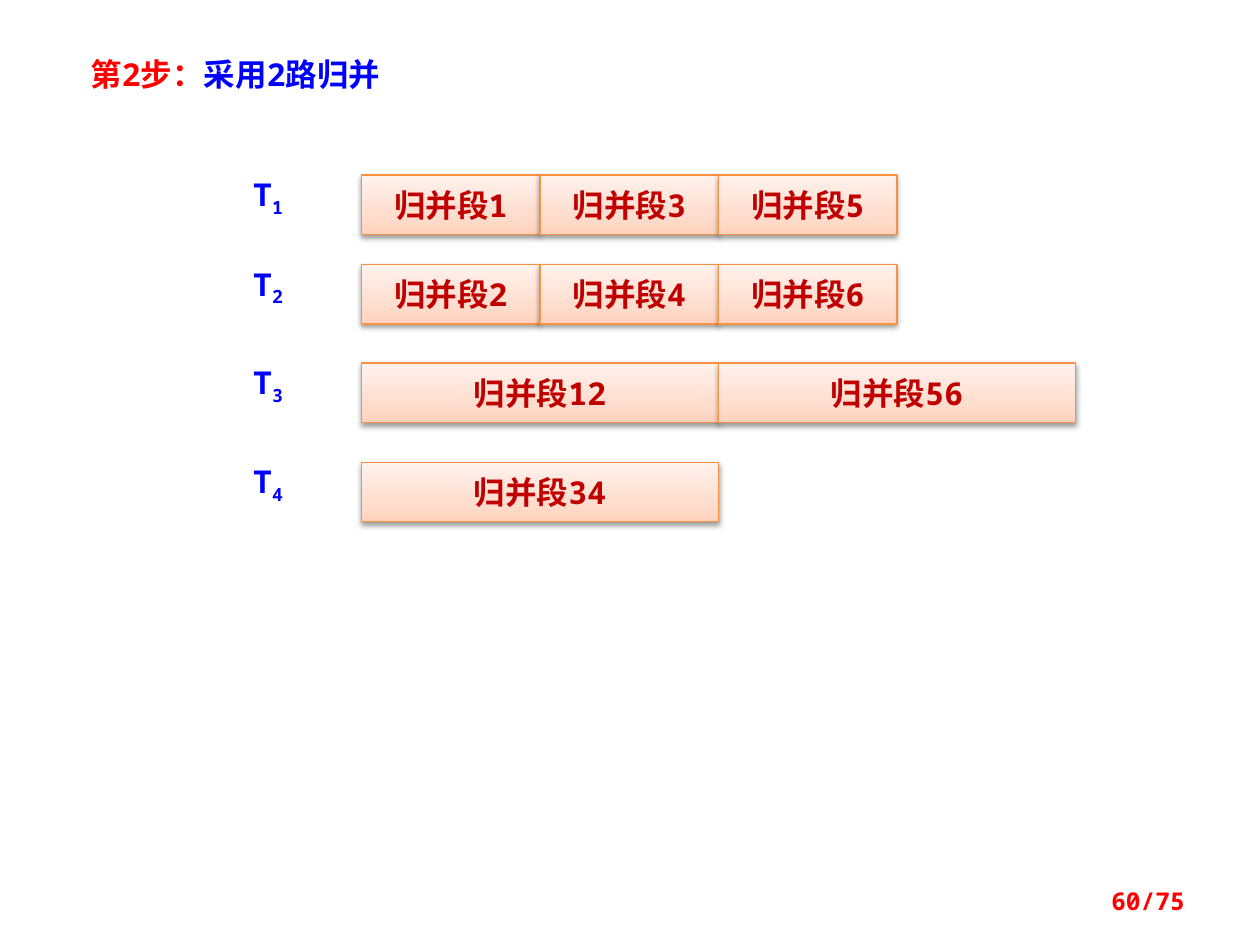
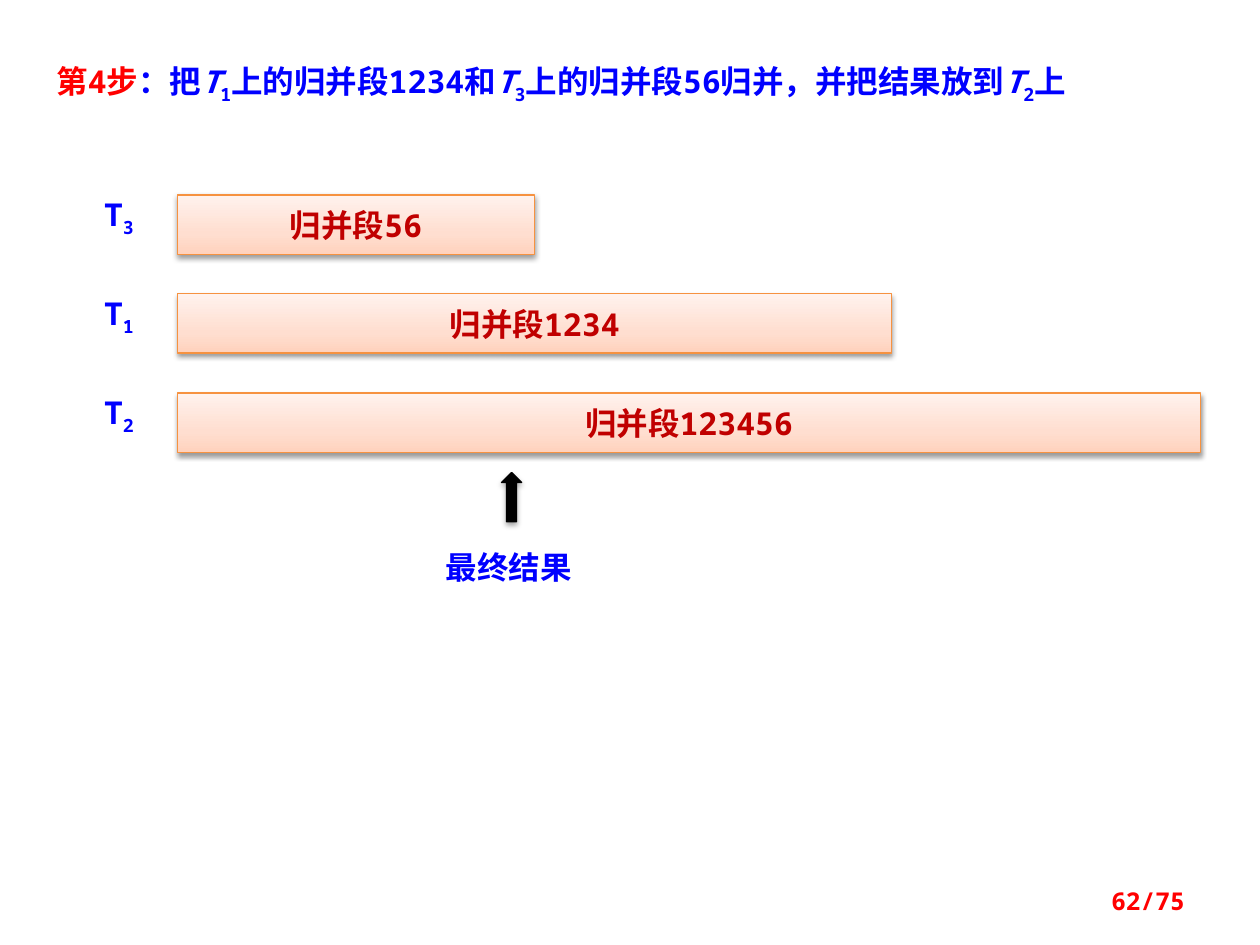
from copy import deepcopy
from lxml.etree import SubElement
from pptx import Presentation
from pptx.dml.color import RGBColor
from pptx.enum.shapes import MSO_SHAPE as Preset
from pptx.enum.text import MSO_ANCHOR as Anchor, PP_ALIGN as Align
from pptx.oxml import parse_xml
from pptx.oxml.ns import nsdecls, qn
from pptx.util import Pt

MONO, HAN = "Noto Sans Mono", "Noto Sans CJK SC"
RED, BLUE, DARK_RED, ORANGE, BLACK = "FF0000", "0000FF", "C00000", "F69240", "000000"
GRADIENT = [(0, "FFD2BD"), (0.35, "FFDED0"), (1, "FFF2ED")]
UNIT, BAR_HEIGHT = 102, 34
colour = RGBColor.from_string


def write(box, spans, ink, size=18, face=MONO, align=Align.LEFT, wrap=True):
    frame = box.text_frame
    frame.word_wrap = wrap
    para = frame.paragraphs[0]
    para.alignment = align
    para.font.name, para.font.size, para.font.bold = face, Pt(size), True
    para.font.color.rgb = colour(ink)
    SubElement(para.font._element, qn("a:ea"), typeface=HAN)
    for text, style in spans:
        span = para.add_run()
        span.text = text
        if style == "red":
            span.font.color.rgb = colour(RED)
        elif style == "italic":
            span.font.italic = True
        elif style == "sub":
            span.font._element.set("baseline", "-25000")
    return frame


def outline_and_shade(shape, line, opacity, distance):
    shape.line.color.rgb = colour(line)
    shape.line.width = Pt(0.75)
    shape._element.spPr.append(parse_xml(
        f'<a:effectLst {nsdecls("a")}><a:outerShdw blurRad="{Pt(3.1)}" dist="{Pt(distance)}" '
        f'dir="5400000" rotWithShape="0"><a:srgbClr val="000000">'
        f'<a:alpha val="{opacity * 1000}"/></a:srgbClr></a:outerShdw></a:effectLst>'))


steps = [
    {
        "title": [("第2步：", "red"), ("采用2路归并", "")],
        "title_at": (44.6, 28.1, 245, 28.8),
        "label_left": 144.7,
        "bar_left": 206.6,
        "tapes": [
            (1, 100, [("1", 1), ("3", 1), ("5", 1)]),
            (2, 151.2, [("2", 1), ("4", 1), ("6", 1)]),
            (3, 207.5, [("12", 2), ("56", 2)]),
            (4, 264.2, [("34", 2)]),
        ],
        "number": "60/75",
    },
    {
        "title": [
            ("第4步", "red"), ("：把", ""), ("T", "italic"), ("1", "sub"),
            ("上的归并段1234和", ""), ("T", "italic"), ("3", "sub"),
            ("上的归并段56归并，并把结果放到", ""), ("T", "italic"), ("2", "sub"), ("上", ""),
        ],
        "title_at": (25.2, 31.9, 666.7, 28.8),
        "label_left": 59.5,
        "bar_left": 101.5,
        "tapes": [
            (3, 111.4, [("56", 2)]),
            (1, 167.8, [("1234", 4)]),
            (2, 224.6, [("123456", 5.73)]),
        ],
        "number": "62/75",
    },
]

deck = Presentation()
deck.slide_width, deck.slide_height = Pt(720), Pt(540)

for step in steps:
    page = deck.slides.add_slide(deck.slide_layouts[6])
    title = page.shapes.add_textbox(*map(Pt, step["title_at"]))
    write(title, step["title"], BLUE)

    for tape, top, segments in step["tapes"]:
        label = page.shapes.add_textbox(Pt(step["label_left"]), Pt(top), Pt(30), Pt(21.6))
        frame = write(label, [("T", ""), (str(tape), "sub")], BLUE)
        frame.margin_left = frame.margin_right = frame.margin_top = frame.margin_bottom = 0

        left = step["bar_left"]
        for name, units in segments:
            width = units * UNIT
            bar = page.shapes.add_shape(Preset.RECTANGLE, Pt(left), Pt(top), Pt(width), Pt(BAR_HEIGHT))
            bar.fill.gradient()
            bar.fill.gradient_angle = 90
            stop_list = bar._element.spPr.find(qn("a:gradFill")).find(qn("a:gsLst"))
            stop_list.append(deepcopy(stop_list[0]))
            for stop, (position, shade) in zip(bar.fill.gradient_stops, GRADIENT):
                stop.position = position
                stop.color.rgb = colour(shade)
            outline_and_shade(bar, ORANGE, 38, 1.6)
            frame = write(bar, [(f"归并段{name}", "")], DARK_RED, align=Align.CENTER, wrap=False)
            frame.vertical_anchor = Anchor.MIDDLE
            left += width

    number = page.shapes.add_textbox(Pt(516.2), Pt(500.4), Pt(168), Pt(28.8))
    frame = write(number, [(step["number"], "")], RED, size=14, align=Align.RIGHT)
    frame.vertical_anchor = Anchor.MIDDLE

result = page.shapes.add_textbox(Pt(247.7), Pt(309.6), Pt(157.7), Pt(28.8))
write(result, [("最终结果", "")], BLUE, face=HAN)
arrow = page.shapes.add_shape(Preset.UP_ARROW, Pt(286.6), Pt(270), Pt(11.5), Pt(28.1))
arrow.fill.solid()
arrow.fill.fore_color.rgb = colour(BLACK)
outline_and_shade(arrow, BLACK, 35, 1.8)

deck.save("out.pptx")
